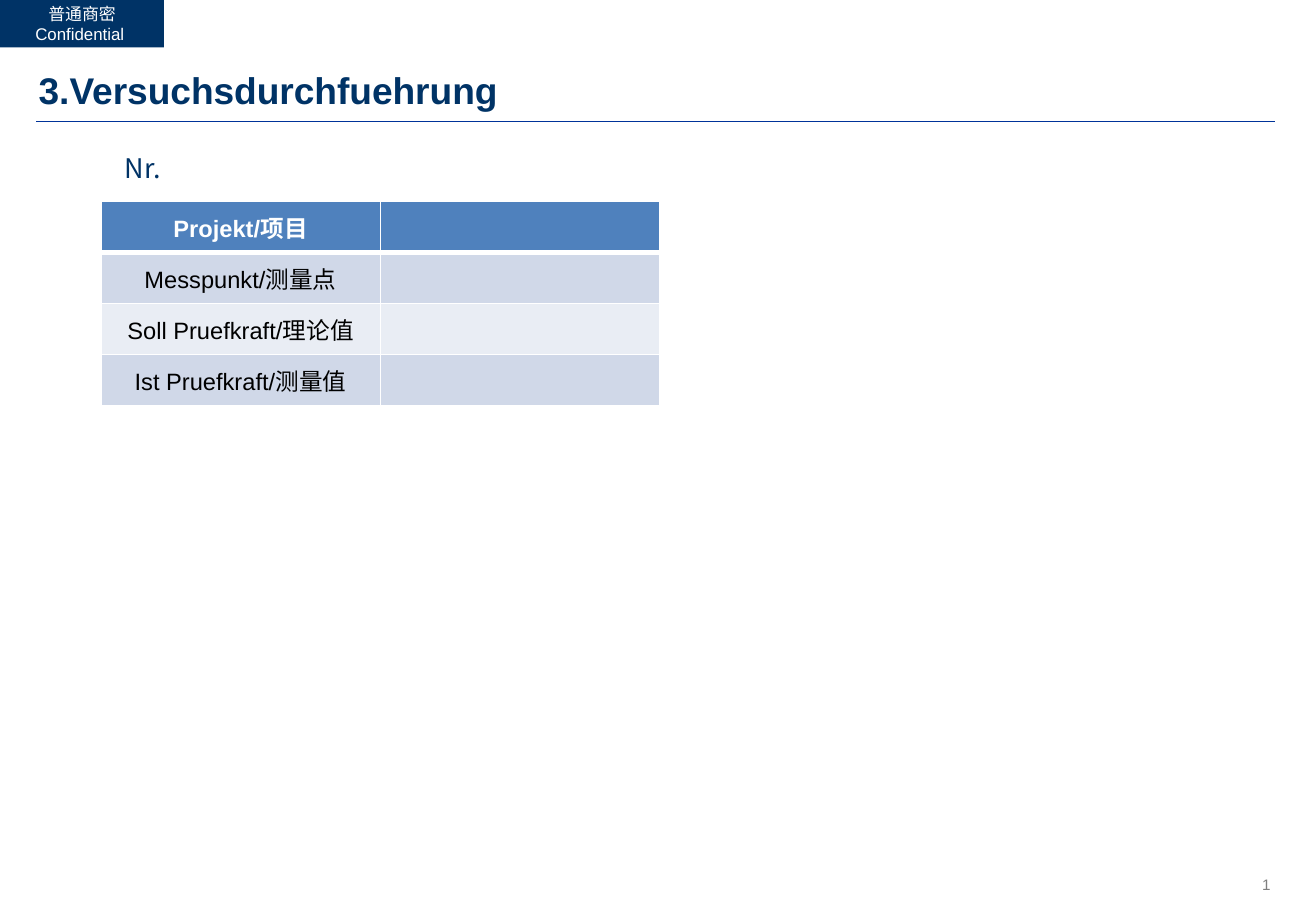
from lxml import etree
from pptx import Presentation
from pptx.dml.color import RGBColor
from pptx.enum.shapes import MSO_CONNECTOR, MSO_SHAPE
from pptx.enum.text import MSO_ANCHOR, PP_ALIGN
from pptx.oxml.ns import qn
from pptx.util import Inches, Pt

LEFT, CENTER, RIGHT = PP_ALIGN.LEFT, PP_ALIGN.CENTER, PP_ALIGN.RIGHT
TOP, MIDDLE, BOTTOM = MSO_ANCHOR.TOP, MSO_ANCHOR.MIDDLE, MSO_ANCHOR.BOTTOM
RECTANGLE = MSO_SHAPE.RECTANGLE
STRAIGHT = MSO_CONNECTOR.STRAIGHT

NAVY = RGBColor(0x00, 0x33, 0x66)
RULE_BLUE = RGBColor(0x00, 0x33, 0x99)
HEADER_BLUE = RGBColor(0x4F, 0x81, 0xBD)
BAND_DARK = RGBColor(0xD0, 0xD8, 0xE8)
BAND_LIGHT = RGBColor(0xE9, 0xED, 0xF4)
GRAY = RGBColor(0x7F, 0x7F, 0x7F)
WHITE = RGBColor(0xFF, 0xFF, 0xFF)
BLACK = RGBColor(0x00, 0x00, 0x00)

LABELS = [
    ("Projekt/", "项目"),
    ("Messpunkt/", "测量点"),
    ("Soll Pruefkraft/", "理论值"),
    ("Ist Pruefkraft/", "测量值"),
]


class SlideBuilder:
    latin = "Arial"
    chinese = "Noto Sans CJK SC"

    def __init__(self, page):
        self.page = page

    def set_face(self, font, name):
        font.name = name
        east_asian = etree.SubElement(font._element, qn("a:ea"))
        east_asian.set("typeface", self.chinese)

    def style(self, para, size, color, bold=False, align=LEFT, face=latin):
        para.alignment = align
        para.font.size = Pt(size)
        para.font.bold = bold
        para.font.color.rgb = color
        self.set_face(para.font, face)

    def text(self, left, top, width, height, words, size, color,
             anchor=TOP, **options):
        box = self.page.shapes.add_textbox(
            Inches(left), Inches(top), Inches(width), Inches(height))
        frame = box.text_frame
        frame.word_wrap = True
        frame.vertical_anchor = anchor
        frame.text = words
        self.style(frame.paragraphs[0], size, color, **options)

    def badge(self, left, top, width, height, words, size):
        shape = self.page.shapes.add_shape(
            RECTANGLE, Inches(left), Inches(top), Inches(width), Inches(height))
        shape.shadow.inherit = False
        shape.fill.solid()
        shape.fill.fore_color.rgb = NAVY
        shape.line.fill.background()
        frame = shape.text_frame
        frame.margin_left = frame.margin_right = 0
        frame.margin_top = frame.margin_bottom = 0
        frame.vertical_anchor = MIDDLE
        para = frame.paragraphs[0]
        para.text = words
        self.style(para, size, WHITE, align=CENTER)

    def rule(self, left, right, top):
        line = self.page.shapes.add_connector(
            STRAIGHT, Inches(left), Inches(top), Inches(right), Inches(top))
        line.line.color.rgb = RULE_BLUE
        line.line.width = Pt(0.05)
        etree.SubElement(line._element.spPr, qn("a:effectLst"))

    def borders(self, cell, bottom_width):
        properties = cell._tc.get_or_add_tcPr()
        widths = {"lnL": 1, "lnR": 1, "lnT": 1, "lnB": bottom_width}
        for position, (side, width) in enumerate(widths.items()):
            line = etree.Element(qn(f"a:{side}"), w=str(Pt(width)))
            fill = etree.SubElement(line, qn("a:solidFill"))
            etree.SubElement(fill, qn("a:srgbClr"), val=str(WHITE))
            properties.insert(position, line)

    def table(self, left, top, column_width, row_height, labels):
        table = self.page.shapes.add_table(
            len(labels), 2, Inches(left), Inches(top),
            Inches(2 * column_width), Inches(row_height * len(labels))).table
        for column in table.columns:
            column.width = Inches(column_width)
        for index, (row, label) in enumerate(zip(table.rows, labels)):
            row.height = Inches(row_height)
            header = index == 0
            band = BAND_DARK if index % 2 else BAND_LIGHT
            for cell, spans in zip(row.cells, (label, ())):
                cell.fill.solid()
                cell.fill.fore_color.rgb = HEADER_BLUE if header else band
                cell.vertical_anchor = MIDDLE
                self.borders(cell, 3 if header else 1)
                para = cell.text_frame.paragraphs[0]
                self.style(para, 14, WHITE if header else BLACK,
                           bold=header, align=CENTER)
                for words, face in zip(spans, (self.latin, self.chinese)):
                    span = para.add_run()
                    span.text = words
                    self.set_face(span.font, face)


def main():
    deck = Presentation()
    deck.slide_width = Inches(10.83)
    deck.slide_height = Inches(7.5)
    slide = SlideBuilder(deck.slides.add_slide(deck.slide_layouts[6]))

    slide.text(9.55, 7.16, 1.04, 0.25, "1 ", 9, GRAY, align=RIGHT)
    slide.rule(0.3, 10.49, 1)
    slide.badge(0, 0, 1.35, 0.39, "普通商密\vConfidential ", 10)
    slide.text(0.22, 0.5, 9.64, 0.47, "3.Versuchsdurchfuehrung", 22, NAVY,
               anchor=BOTTOM, bold=True)
    slide.text(0.93, 1.2, 5.08, 0.37, "Nr.", 16, NAVY, face=slide.chinese)
    slide.table(0.83, 1.66, 2.3, 0.42, LABELS)

    deck.save("out.pptx")


if __name__ == "__main__":
    main()
